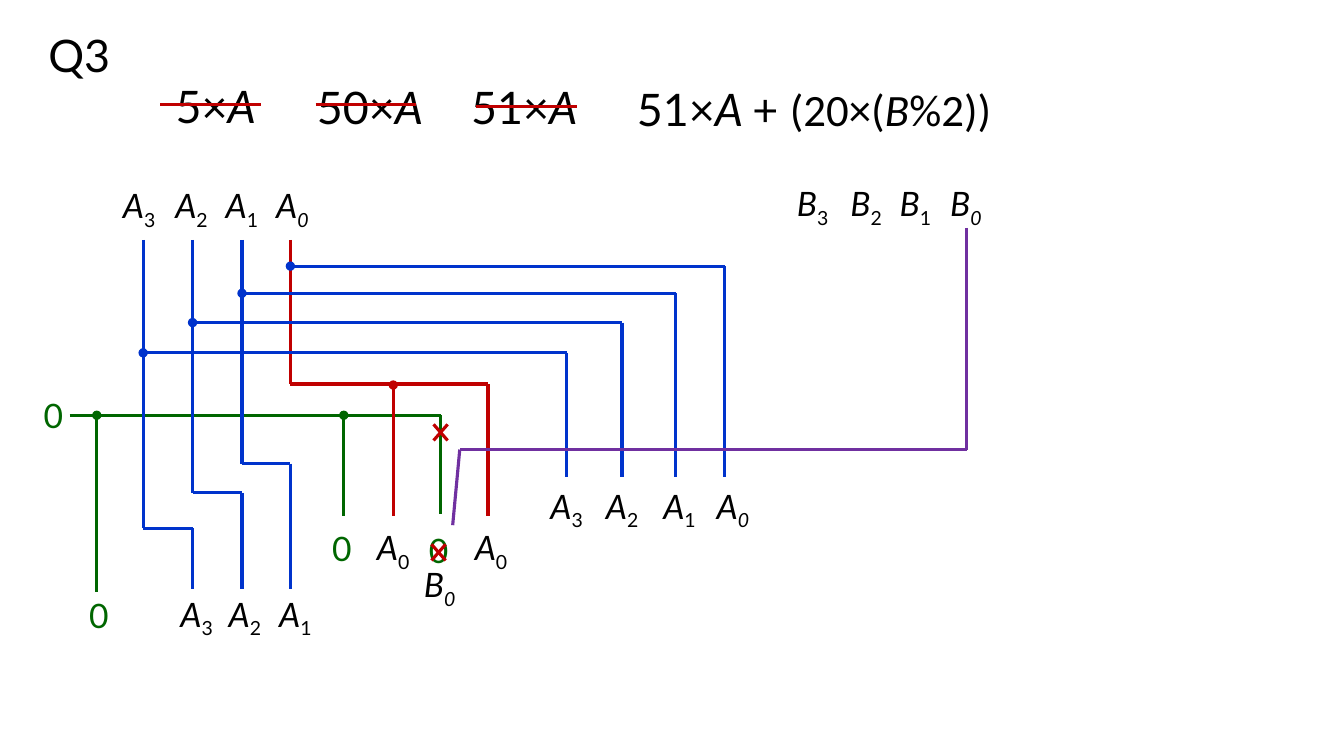
from itertools import pairwise

from lxml.etree import SubElement
from pptx import Presentation
from pptx.dml.color import RGBColor
from pptx.enum.shapes import MSO_CONNECTOR
from pptx.enum.text import MSO_ANCHOR, MSO_AUTO_SIZE, PP_ALIGN
from pptx.oxml.ns import qn
from pptx.util import Pt

EMU_PER_PX = 9144  # 100 px to the inch
BLACK, BLUE, GREEN, RED, PURPLE = "000000", "0033CC", "006600", "C00000", "7030A0"


def px(length):
    return length * EMU_PER_PX


def rgb(color):
    return RGBColor.from_string(color)


class CircuitSlide:
    font = "Lato"
    line_width = Pt(2.25)

    def __init__(self, presentation):
        self.slide = presentation.slides.add_slide(presentation.slide_layouts[5])

    def run(self, paragraph, text, size, color=BLACK, italic=False, font=None, subscript=False):
        run = paragraph.add_run()
        run.text = text
        run.font.name = font or self.font
        run.font.size = Pt(size)
        run.font.italic = italic
        run.font.color.rgb = rgb(color)
        if subscript:
            run.font._element.set("baseline", "-25000")

    def title(self, text, left, top, width, height):
        title = self.slide.shapes.title
        title.left, title.top, title.width, title.height = map(px, (left, top, width, height))
        frame = title.text_frame
        frame.auto_size = MSO_AUTO_SIZE.NONE
        frame.vertical_anchor = MSO_ANCHOR.MIDDLE
        paragraph = frame.paragraphs[0]
        paragraph.alignment = PP_ALIGN.LEFT
        paragraph.line_spacing = 0.9
        self.run(paragraph, text, 32)

    def text_box(self, center, top, width, height):
        box = self.slide.shapes.add_textbox(px(center - width // 2), px(top), px(width), px(height))
        box.text_frame.word_wrap = True
        paragraph = box.text_frame.paragraphs[0]
        paragraph.alignment = PP_ALIGN.CENTER
        return paragraph

    def equation(self, center, top, width, runs):
        paragraph = self.text_box(center, top, width, 64)
        for text, italic, font in runs:
            self.run(paragraph, text, 32, italic=italic, font=font)

    def bit(self, center, top, letter, index, italic_index=False):
        paragraph = self.text_box(center, top, 66, 50)
        self.run(paragraph, letter, 24, italic=True)
        self.run(paragraph, str(index), 24, italic=italic_index, subscript=True)

    def zero(self, center, top):
        self.run(self.text_box(center, top, 52, 50), "0", 24, GREEN)

    def wire(self, color, *points, dot=False):
        for number, (start, end) in enumerate(pairwise(points)):
            line = self.slide.shapes.add_connector(
                MSO_CONNECTOR.STRAIGHT, *map(px, start + end))
            line.line.color.rgb = rgb(color)
            line.line.width = self.line_width
            if dot and number == 0:
                SubElement(line.line._get_or_add_ln(), qn("a:headEnd"), type="oval")
            SubElement(line._element.spPr, qn("a:effectLst"))

    def cross(self, x, y):
        for rise in (8, -8):
            self.wire(RED, (x - 7, y + rise), (x + 7, y - rise))


def main():
    presentation = Presentation()
    presentation.slide_width, presentation.slide_height = px(1333), px(750)
    circuit = CircuitSlide(presentation)

    # Title and equations
    circuit.title("Q3", 38, 26, 99, 63)
    for factor, center, top, strike_left, strike_y in (
            ("5×", 214, 73, 159, 104), ("50×", 367, 74, 313, 104), ("51×", 520, 74, 472, 106)):
        circuit.equation(center, top, 148, [(factor, False, None), ("A", True, None)])
        circuit.wire(RED, (strike_left, strike_y), (strike_left + 100, strike_y))
    circuit.equation(812, 76, 415, [
        ("51×", False, None), ("A ", True, None), ("+ ", False, None),
        ("(20×(", False, "Calibri"), ("B", True, "Calibri"), ("%2)) ", False, "Calibri")])

    # Input bits, 3 down to 0
    for letter, top, centers in (("A", 179, (138, 190, 240, 290)),
                                 ("B", 177, (806, 859, 908, 958))):
        for index, center in zip((3, 2, 1, 0), centers):
            circuit.bit(center, top, letter, index, index == 0)

    # Constant zero, in green
    circuit.zero(53, 387)
    circuit.wire(GREEN, (69, 412), (437, 412), (437, 510))
    for x, bottom in ((341, 512), (96, 587)):
        circuit.wire(GREEN, (x, 412), (x, bottom), dot=True)
    for center, top in ((435, 521), (339, 519), (98, 585)):
        circuit.zero(center, top)

    # Lowest bit of A, in red
    circuit.wire(RED, (288, 238), (288, 381), (484, 381), (484, 512))
    circuit.wire(RED, (390, 382), (390, 512), dot=True)
    for center in (390, 487):
        circuit.bit(center, 518, "A", 0)

    # Upper bits of A, moved one column to the right
    columns = (142, 191, 240, 288)
    for index, (x, shifted_x), bend, center in zip(
            (3, 2, 1), pairwise(columns), (524, 489, 460), (195, 243, 293)):
        circuit.wire(BLUE, (x, 238), (x, bend), (shifted_x, bend), (shifted_x, 584))
        circuit.bit(center, 584, "A", index)

    # Second set of all bits of A
    for index, x, level, target, center in zip(
            (3, 2, 1, 0), columns, (350, 320, 291, 264),
            (562, 617, 670, 719), (562, 617, 674, 727)):
        circuit.wire(BLUE, (x, level), (target, level), (target, 473), dot=True)
        circuit.bit(center, 477, "A", index, index == 0)

    # Zero replaced by the lowest bit of B
    circuit.cross(437, 429)
    circuit.cross(435, 548)
    circuit.wire(PURPLE, (959, 226), (959, 446), (456, 446), (449, 521))
    circuit.bit(436, 555, "B", 0, True)

    presentation.save("out.pptx")


if __name__ == "__main__":
    main()
